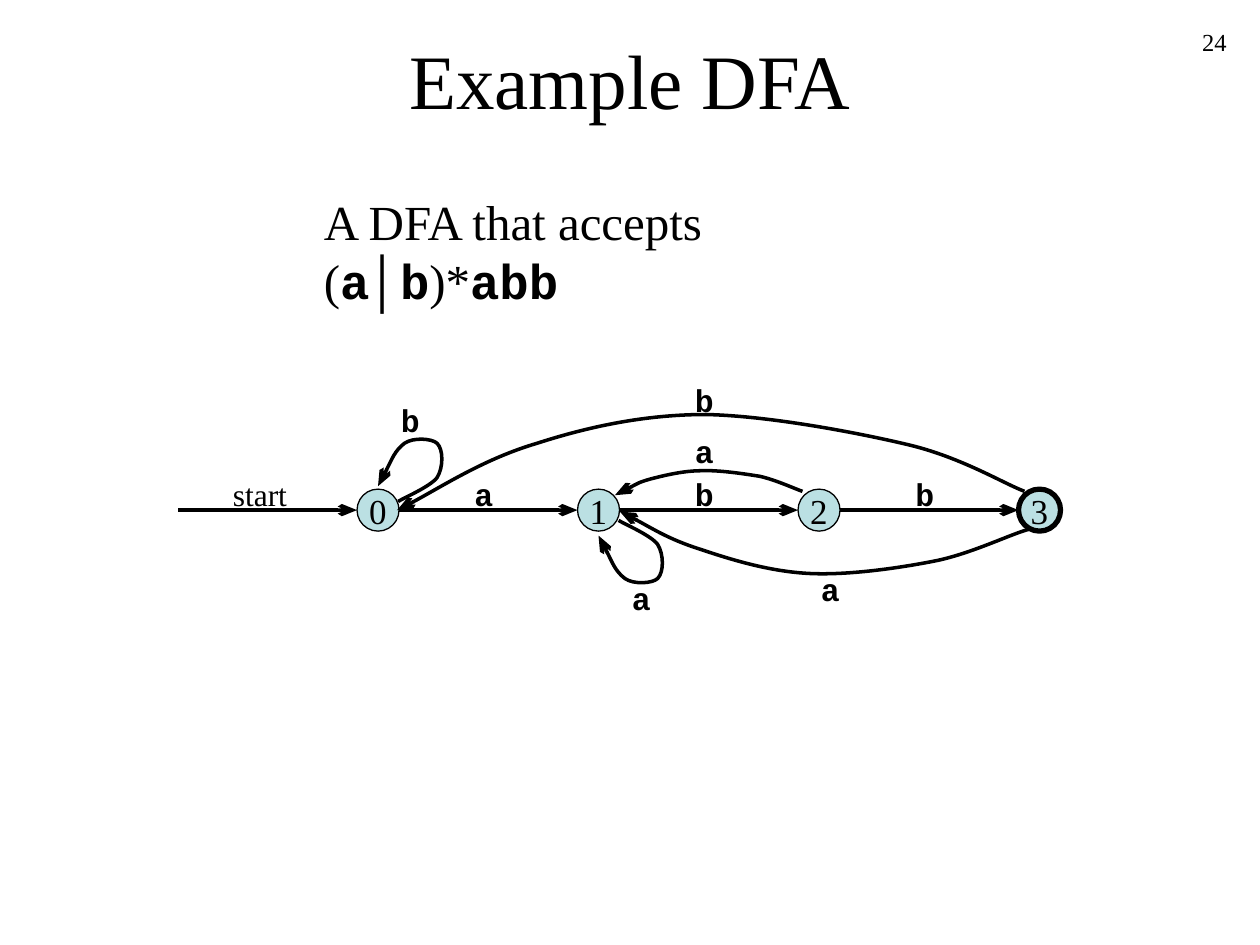
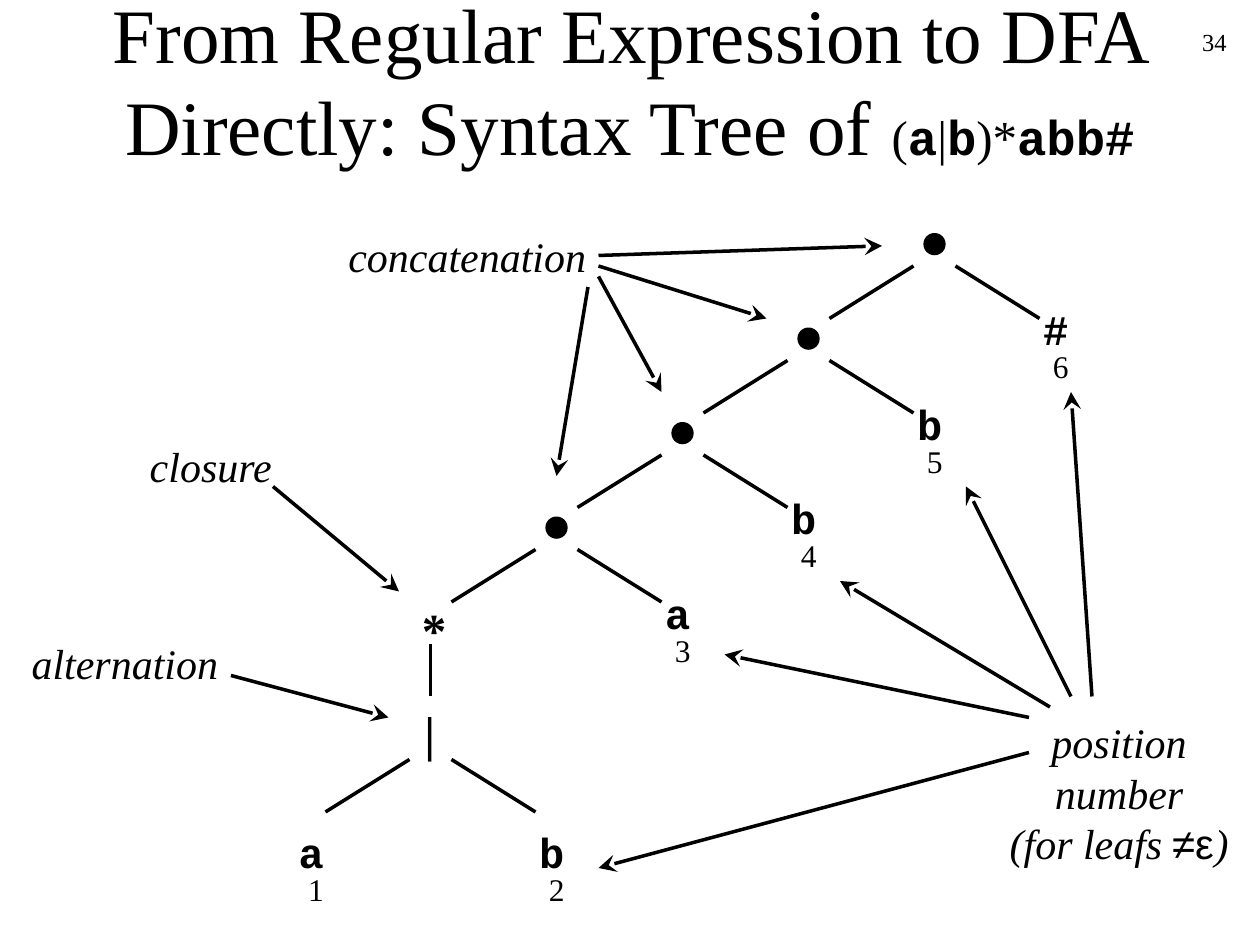
from collections import namedtuple
from dataclasses import dataclass
from typing import Any

from lxml import etree
from pptx import Presentation
from pptx import util as u
from pptx.dml.color import RGBColor
from pptx.enum import shapes, text
from pptx.oxml import ns

BLACK = RGBColor(0x00, 0x00, 0x00)
STATE_FILL = RGBColor(0xBB, 0xE0, 0xE3)

Style = namedtuple("Style", "font size bold italic", defaults=(False, False))
SERIF, MONO, SANS = "Times New Roman", "Courier New", "Arial"
TITLE = Style(SERIF, 44)
NUMBER = Style(SERIF, 14)
STATE = Style(SERIF, 20)
SMALL = Style(SERIF, 18)
SYMBOL = Style(MONO, 18, True)
FORMULA = Style(SERIF, 28)
FORMULA_CODE = Style(MONO, 28, True)
OPERATOR = Style(SERIF, 28, True)
LEAF = Style(MONO, 24, True)
TERM = Style(SERIF, 24, False, True)
TERM_SYMBOL = Style(SANS, 24)

TRANSITION_HEAD = {"type": "arrow", "w": "med", "len": "lg"}
POINTER_HEAD = {"type": "stealth", "w": "lg", "len": "lg"}

STATE_SIZE, STATE_STEP, AXIS = 24, 126, 77.5
DOT_SIZE, TREE_STEP = 12, (-72, 54)

LOOP = [(125.5, 72.6), (129.1, 70.4), (144.2, 63.9), (147.8, 58.9),
        (151.4, 53.1), (151.4, 43), (147.8, 39.4), (145, 36.6),
        (134.2, 35.8), (129.1, 39.4), (123.4, 43.8), (116.9, 58.9),
        (114, 63.9)]
THREE_TO_ZERO = [(483.4, 66.8), (471.8, 62.5), (447.4, 47.4), (417.1, 40.2),
                 (386.9, 33), (336.5, 23.6), (301.2, 22.9), (265.9, 22.9),
                 (233.5, 30.1), (204.7, 39.4), (175.2, 48.1), (141.4, 69.7),
                 (124.8, 77.6)]
TWO_TO_ONE = [(356.6, 66.8), (352.3, 65.4), (341.5, 60.3), (332.2, 58.2),
              (322.8, 56.7), (309.1, 54.6), (299, 55), (289, 55),
              (278.9, 57.4), (270.2, 59.6), (262.3, 61.8), (253.7, 66.8),
              (249.4, 69)]
THREE_TO_ONE = [(486.2, 88.4), (476.9, 90.6), (453.8, 102.1), (433, 106.4),
                (411.4, 110.7), (381.1, 115), (358.8, 113.6), (336.5, 112.2),
                (315.6, 105.7), (298.3, 99.9), (280.3, 94.2), (261.6, 82.6),
                (252.2, 78.3)]


def write(frame, paragraphs, align=text.PP_ALIGN.LEFT):
    for index, spans in enumerate(paragraphs):
        para = frame.paragraphs[0] if index == 0 else frame.add_paragraph()
        para.alignment = align
        for words, style in spans:
            for row, piece in enumerate(words.split("\n")):
                if row:
                    para.add_line_break()
                span = para.add_run()
                span.text = piece
                span.font.name = style.font
                span.font.size = u.Pt(style.size)
                span.font.bold = style.bold
                span.font.italic = style.italic
                span.font.color.rgb = BLACK


def draw_line(shape, width, head=None):
    shape.line.color.rgb = BLACK
    shape.line.width = u.Pt(width)
    if head:
        outline = shape._element.spPr.find(ns.qn("a:ln"))
        etree.SubElement(outline, ns.qn("a:tailEnd"), head)


@dataclass
class Region:
    page: Any
    left: float
    top: float

    def at(self, x, y):
        return u.Pt(self.left + x), u.Pt(self.top + y)

    def label(self, x, y, width, height, paragraphs, wrap=False,
              align=text.PP_ALIGN.LEFT):
        box = self.page.shapes.add_textbox(*self.at(x, y), u.Pt(width), u.Pt(height))
        frame = box.text_frame
        frame.word_wrap = wrap
        frame.auto_size = text.MSO_AUTO_SIZE.SHAPE_TO_FIT_TEXT
        write(frame, paragraphs, align)
        return box

    def link(self, start, end, head=None):
        line = self.page.shapes.add_connector(
            shapes.MSO_CONNECTOR.STRAIGHT, *self.at(*start), *self.at(*end))
        draw_line(line, 2, head)
        etree.SubElement(line._element.spPr, ns.qn("a:effectLst"))

    def disc(self, x, y, size, fill, line_width=0.75):
        disc = self.page.shapes.add_shape(
            shapes.MSO_SHAPE.OVAL, *self.at(x, y), u.Pt(size), u.Pt(size))
        disc.shadow.inherit = False
        disc.fill.solid()
        disc.fill.fore_color.rgb = fill
        draw_line(disc, line_width)
        return disc

    def curve(self, points):
        start, *rest = [self.at(*point) for point in points]
        builder = self.page.shapes.build_freeform(*start)
        builder.add_line_segments(rest, close=False)
        arc = builder.convert_to_shape()
        outline = next(arc._element.iter(ns.qn("a:path")))
        segments = outline.findall(ns.qn("a:lnTo"))
        for first in range(0, len(segments), 3):
            cubic = etree.SubElement(outline, ns.qn("a:cubicBezTo"))
            for segment in segments[first:first + 3]:
                cubic.append(segment[0])
                outline.remove(segment)
        arc.shadow.inherit = False
        arc.fill.background()
        draw_line(arc, 2, TRANSITION_HEAD)


def add_page(deck, number, title_spans):
    page = deck.slides.add_slide(deck.slide_layouts[5])
    title = page.shapes.title
    title.left, title.top = u.Pt(54), u.Pt(0)
    title.width, title.height = u.Pt(612), u.Pt(90)
    frame = title.text_frame
    frame.auto_size = text.MSO_AUTO_SIZE.NONE
    frame.word_wrap = True
    frame.vertical_anchor = text.MSO_ANCHOR.MIDDLE
    write(frame, [title_spans], text.PP_ALIGN.CENTER)
    corner = Region(page, 558, 12).label(
        0, 0, 150, 36, [[(number, NUMBER)]], True, text.PP_ALIGN.RIGHT)
    corner.text_frame.auto_size = text.MSO_AUTO_SIZE.NONE
    return page


def draw_caption(region):
    spans = [("A DFA that accepts (", FORMULA), ("a", FORMULA_CODE),
             ("│", Style(SANS, 28)), ("b", FORMULA_CODE),
             (")*", FORMULA), ("abb", FORMULA_CODE)]
    box = region.label(0, 0, 369, 41, [spans], True)
    box.text_frame.margin_right = u.Pt(72)


def draw_automaton(region):
    for state in range(4):
        x = 102 + STATE_STEP * state
        disc = region.disc(x, AXIS - STATE_SIZE / 2, STATE_SIZE, STATE_FILL,
                           3 if state == 3 else 0.75)
        frame = disc.text_frame
        frame.word_wrap = False
        frame.vertical_anchor = text.MSO_ANCHOR.MIDDLE
        write(frame, [[(str(state), STATE)]], text.PP_ALIGN.CENTER)
        tail = x - STATE_STEP + STATE_SIZE
        region.link((tail, AXIS), (x, AXIS), TRANSITION_HEAD)
    for arc in (LOOP, THREE_TO_ZERO, TWO_TO_ONE, THREE_TO_ONE):
        region.curve(arc)
    region.curve([(x + STATE_STEP, 2 * AXIS + 1 - y) for x, y in LOOP])
    region.label(24, 54, 50, 29, [[("start", SMALL)]])
    steps = [(letter, 162 + STATE_STEP * i, 54) for i, letter in enumerate("abb")]
    returns = [("b", 120, 11.5), ("b", 288, 0), ("a", 288, 29.5),
               ("a", 252, 113.5), ("a", 360, 108)]
    for letter, x, y in steps + returns:
        region.label(x, y, 25.5, 29, [[(letter, SYMBOL)]])


def draw_leaf(region, x, y, letter, position):
    region.label(x, y, 24, 36, [[(letter, LEAF)]], True)
    region.label(x + 5.5, y + 25, 23.5, 29, [[(position, SMALL)]])


def draw_branches(region, x, y):
    for side in (-1, 1):
        region.link((x + side * 12, y + 12.5), (x + side * 60, y + 42.5))


def draw_syntax_tree(region):
    for level, letter in enumerate("#bba"):
        x = 372 + TREE_STEP[0] * level
        y = 7.5 + TREE_STEP[1] * level
        region.disc(x - DOT_SIZE / 2, y - DOT_SIZE / 2, DOT_SIZE, BLACK)
        draw_branches(region, x, y)
        draw_leaf(region, x + 55, y + 30.5, letter, str(6 - level))
    region.label(72, 207, 14.5, 41, [[("*", OPERATOR)]], True)
    region.link((84, 236), (84, 266))
    region.label(73.5, 266, 14.5, 41, [[("|", OPERATOR)]], True)
    draw_branches(region, 84, 289.5)
    draw_leaf(region, 1.5, 336.5, "a", "1")
    draw_leaf(region, 139, 336.5, "b", "2")


def draw_operator_terms(region):
    for term, x, y, width in [("concatenation", 181, 0, 152),
                              ("closure", 67.5, 120, 86),
                              ("alternation", 0, 233, 122)]:
        region.label(x, y, width, 36, [[(term, TERM)]])
    for start, end in [((331, 18), (493, 12.5)), ((331, 24), (427, 54)),
                       ((331, 30), (367, 96)), ((325, 36), (307, 144)),
                       ((145, 150), (217, 210)), ((121, 258), (211, 282))]:
        region.link(start, end, POINTER_HEAD)


def draw_position_term(region):
    paragraphs = [[("position\nnumber", TERM)],
                  [("(for leafs ", TERM), ("≠ε", TERM_SYMBOL), (")", TERM)]]
    region.label(225, 182, 145, 94, paragraphs, align=text.PP_ALIGN.CENTER)
    for start, end in [((282, 174), (270, 0)), ((270, 174), (210, 54)),
                       ((258, 180), (138, 108)), ((246, 186), (72, 150)),
                       ((246, 206), (0, 272))]:
        region.link(start, end, POINTER_HEAD)


def build_automaton_page(deck):
    page = add_page(deck, "24", [("Example DFA", TITLE)])
    draw_caption(Region(page, 178, 106))
    draw_automaton(Region(page, 102, 214))


def build_tree_page(deck):
    page = add_page(deck, "34", [
        ("From Regular Expression to DFA Directly: Syntax Tree of ", TITLE),
        ("(", FORMULA), ("a", FORMULA_CODE), ("|", FORMULA),
        ("b", FORMULA_CODE), (")*", FORMULA), ("abb#", FORMULA_CODE)])
    draw_syntax_tree(Region(page, 162, 132))
    draw_operator_terms(Region(page, 11, 128))
    draw_position_term(Region(page, 342, 224))


def main():
    deck = Presentation()
    deck.slide_width, deck.slide_height = u.Pt(720), u.Pt(540)
    build_automaton_page(deck)
    build_tree_page(deck)
    deck.save("out.pptx")


if __name__ == "__main__":
    main()
